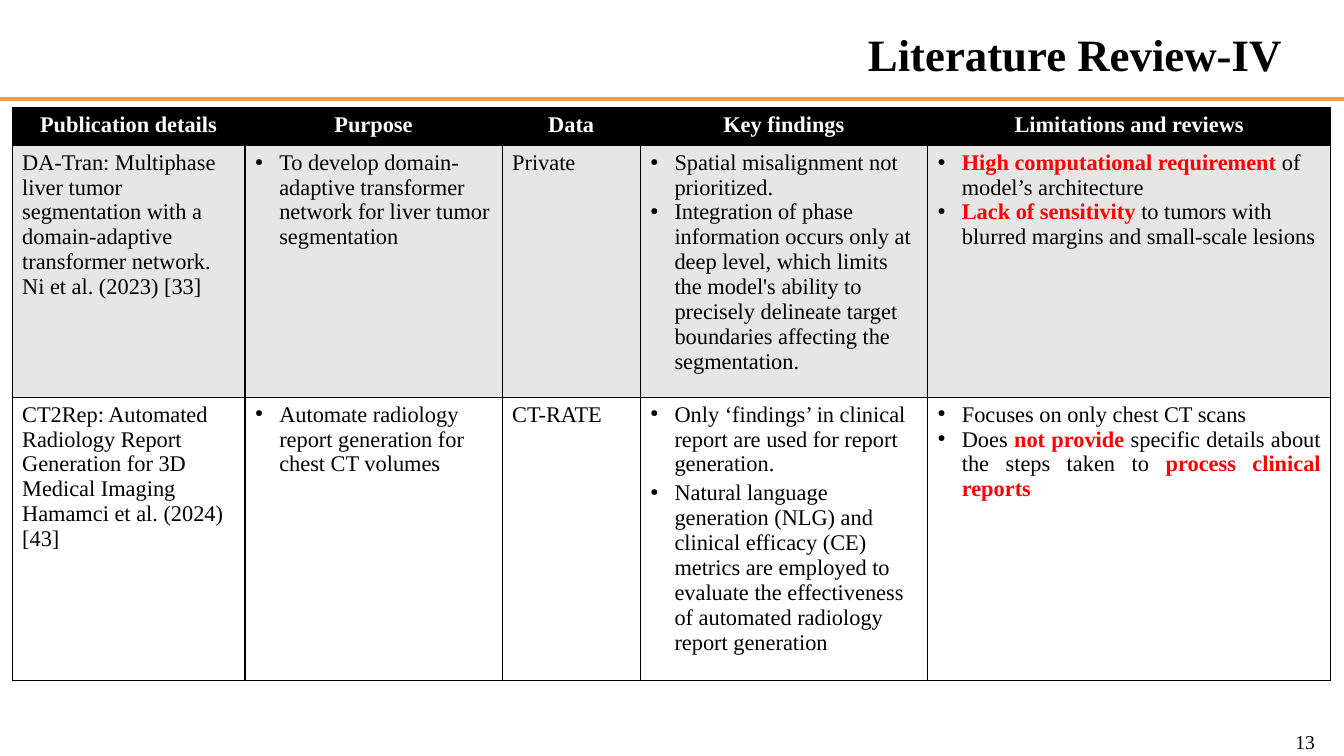
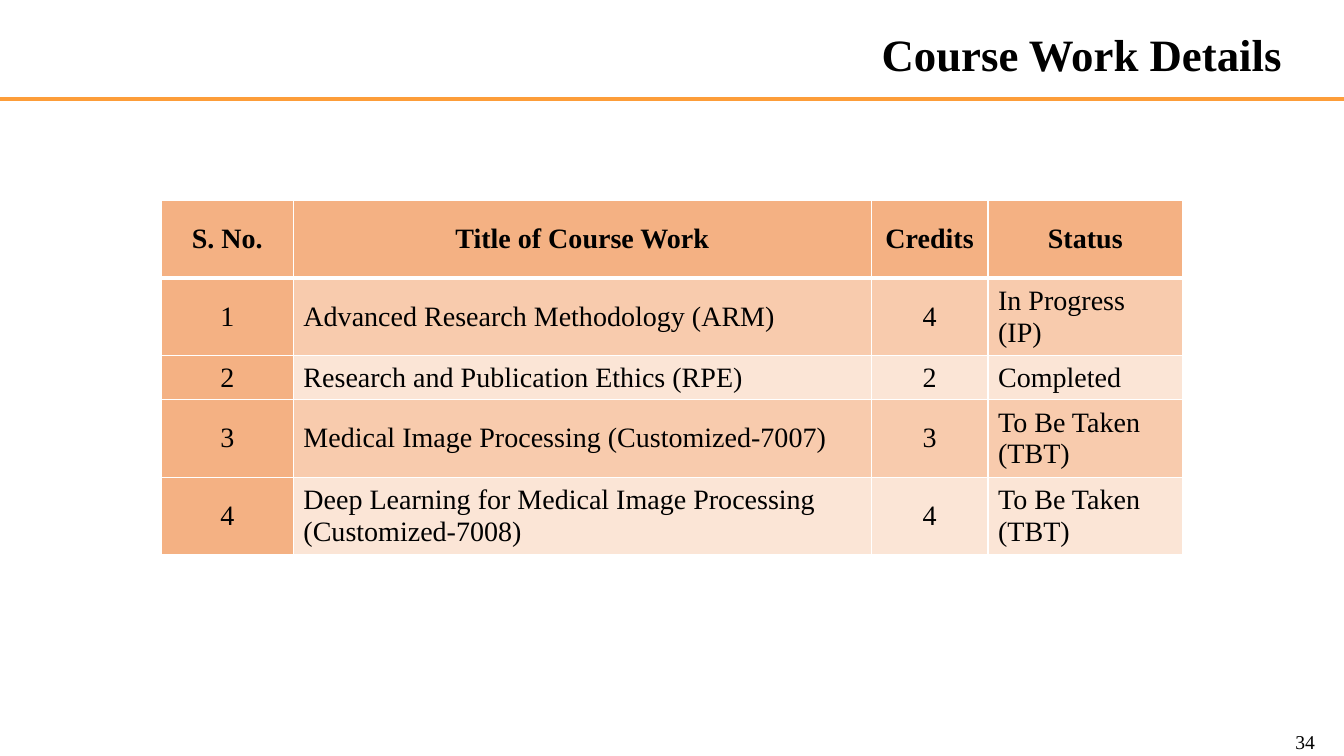
from dataclasses import dataclass
from typing import Optional

from lxml import etree
from pptx import Presentation
from pptx.dml.color import RGBColor
from pptx.enum.shapes import MSO_CONNECTOR
from pptx.enum.text import MSO_ANCHOR, PP_ALIGN
from pptx.oxml.ns import qn
from pptx.slide import Slide
from pptx.table import _Cell
from pptx.text.text import TextFrame, _Paragraph
from pptx.util import Emu, Inches, Pt

LEFT, CENTER, RIGHT, JUSTIFY = PP_ALIGN.LEFT, PP_ALIGN.CENTER, PP_ALIGN.RIGHT, PP_ALIGN.JUSTIFY
TOP, MIDDLE = MSO_ANCHOR.TOP, MSO_ANCHOR.MIDDLE
STRAIGHT = MSO_CONNECTOR.STRAIGHT
TITLE_ONLY = 5

SLIDE_WIDTH, SLIDE_HEIGHT = Inches(13.33), Inches(7.5)


@dataclass(frozen=True)
class Theme:
    font: str = "Times New Roman"
    ink: str = "000000"
    paper: str = "FFFFFF"
    rule: str = "FD9D39"
    alert: str = "FF0000"
    grey: str = "E6E6E6"
    peach_dark: str = "F4B183"
    peach: str = "F8CBAD"
    peach_light: str = "FBE5D6"
    title_size: float = 32
    course_size: float = 20
    review_size: float = 16
    number_size: float = 14
    rule_width: float = 3
    bullet_indent: float = 0.24


THEME = Theme()


@dataclass(frozen=True)
class Frame:
    """A box in percent of the slide's width and height."""
    left: float
    top: float
    width: float
    height: float


TITLE_FRAME = Frame(50, 2.8, 46.14, 8.53)
NUMBER_FRAME = Frame(92.57, 96.53, 6, 3.2)
RULE_TOP = 13.07


@dataclass(frozen=True)
class CellText:
    """Paragraphs of one cell; words between asterisks are highlighted."""
    paragraphs: tuple[str, ...]
    align: PP_ALIGN = LEFT
    bulleted: bool = False
    space_after: float = 0


@dataclass(frozen=True)
class TableStyle:
    size: float
    anchor: MSO_ANCHOR
    border: str
    border_width: float
    header_rule_width: float
    header_fill: str
    header_color: str
    row_fills: tuple[str, str]
    first_column_fill: Optional[str] = None


@dataclass(frozen=True)
class TablePlan:
    """Position, column widths and row heights in percent of the slide."""
    left: float
    top: float
    columns: tuple[float, ...]
    rows: tuple[float, ...]
    style: TableStyle
    header: tuple[str, ...]
    body: tuple[tuple[CellText, ...], ...]


REVIEW_STYLE = TableStyle(
    THEME.review_size, TOP, THEME.ink, 0.85, 0.85,
    THEME.ink, THEME.paper, (THEME.grey, THEME.paper))
COURSE_STYLE = TableStyle(
    THEME.course_size, MIDDLE, THEME.paper, 1, 3,
    THEME.peach_dark, THEME.ink, (THEME.peach, THEME.peach_light), THEME.peach_dark)


def across(percent: float) -> Emu:
    return Emu(round(SLIDE_WIDTH * percent / 100))


def down(percent: float) -> Emu:
    return Emu(round(SLIDE_HEIGHT * percent / 100))


def add_bullet(paragraph: _Paragraph) -> None:
    indent = Inches(THEME.bullet_indent)
    properties = paragraph._p.get_or_add_pPr()
    properties.set("marL", str(indent))
    properties.set("indent", str(-indent))
    color = etree.SubElement(properties, qn("a:buClr"))
    etree.SubElement(color, qn("a:srgbClr")).set("val", THEME.ink)
    etree.SubElement(properties, qn("a:buSzPct")).set("val", "45000")
    etree.SubElement(properties, qn("a:buChar")).set("char", "●")


def write_text(text_frame: TextFrame, *paragraphs: str, size: float,
               color: str = THEME.ink, bold: bool = False, align: PP_ALIGN = LEFT,
               bulleted: bool = False, space_after: float = 0) -> None:
    for index, text in enumerate(paragraphs):
        paragraph = text_frame.paragraphs[0] if index == 0 else text_frame.add_paragraph()
        paragraph.alignment = align
        paragraph.space_after = Pt(space_after)
        if bulleted:
            add_bullet(paragraph)
        for part, words in enumerate(text.split("*")):
            highlighted = part % 2 == 1
            for line, fragment in enumerate(words.split("\n")):
                if line:
                    paragraph.add_line_break()
                if not fragment:
                    continue
                run = paragraph.add_run()
                run.text = fragment
                run.font.name = THEME.font
                run.font.size = Pt(size)
                run.font.bold = bold or highlighted
                run.font.color.rgb = RGBColor.from_string(THEME.alert if highlighted else color)
        # Line breaks keep the height of the text around them
        for line_break in paragraph._p.findall(qn("a:br")):
            etree.SubElement(line_break, qn("a:rPr")).set("sz", str(round(size * 100)))


def paint_cell(cell: _Cell, style: TableStyle, fill: str, bottom_width: float) -> None:
    cell.vertical_anchor = style.anchor
    properties = cell._tc.get_or_add_tcPr()
    for side in ("lnL", "lnR", "lnT", "lnB"):
        width = bottom_width if side == "lnB" else style.border_width
        edge = etree.SubElement(properties, qn(f"a:{side}"), w=str(Pt(width)))
        solid = etree.SubElement(edge, qn("a:solidFill"))
        etree.SubElement(solid, qn("a:srgbClr")).set("val", style.border)
    cell.fill.solid()
    cell.fill.fore_color.rgb = RGBColor.from_string(fill)


def add_plan(slide: Slide, plan: TablePlan) -> None:
    style = plan.style
    table = slide.shapes.add_table(
        len(plan.rows), len(plan.columns), across(plan.left), down(plan.top),
        across(sum(plan.columns)), down(sum(plan.rows))).table
    table.horz_banding = False
    for column, width in zip(table.columns, plan.columns):
        column.width = across(width)
    for row, height in zip(table.rows, plan.rows):
        row.height = down(height)
    # Header row
    for column, heading in enumerate(plan.header):
        cell = table.cell(0, column)
        paint_cell(cell, style, style.header_fill, style.header_rule_width)
        write_text(cell.text_frame, heading, size=style.size,
                   color=style.header_color, bold=True, align=CENTER)
    # Body rows with alternating fills
    for row, entries in enumerate(plan.body, start=1):
        for column, entry in enumerate(entries):
            cell = table.cell(row, column)
            fill = style.row_fills[(row - 1) % 2]
            if column == 0 and style.first_column_fill:
                fill = style.first_column_fill
            paint_cell(cell, style, fill, style.border_width)
            write_text(cell.text_frame, *entry.paragraphs, size=style.size, align=entry.align,
                       bulleted=entry.bulleted, space_after=entry.space_after)


def add_base_slide(presentation: Presentation, heading: str, number: int) -> Slide:
    slide = presentation.slides.add_slide(presentation.slide_layouts[TITLE_ONLY])
    # Orange rule below the title
    rule = slide.shapes.add_connector(STRAIGHT, 0, down(RULE_TOP), SLIDE_WIDTH, down(RULE_TOP))
    rule.line.color.rgb = RGBColor.from_string(THEME.rule)
    rule.line.width = Pt(THEME.rule_width)
    etree.SubElement(rule._element.spPr, qn("a:effectLst"))
    # Title
    title = slide.shapes.title
    title.left, title.top = across(TITLE_FRAME.left), down(TITLE_FRAME.top)
    title.width, title.height = across(TITLE_FRAME.width), down(TITLE_FRAME.height)
    title.text_frame.vertical_anchor = MIDDLE
    write_text(title.text_frame, heading, size=THEME.title_size, bold=True, align=RIGHT)
    # Page number
    page_number = slide.shapes.add_textbox(
        across(NUMBER_FRAME.left), down(NUMBER_FRAME.top),
        across(NUMBER_FRAME.width), down(NUMBER_FRAME.height)).text_frame
    page_number.word_wrap = True
    page_number.margin_top = page_number.margin_bottom = 0
    page_number.vertical_anchor = MIDDLE
    write_text(page_number, str(number), size=THEME.number_size, align=RIGHT)
    return slide


def bullets(*paragraphs: str, align: PP_ALIGN = LEFT, space_after: float = 0) -> CellText:
    return CellText(paragraphs, align, True, space_after)


def course(number: int, name: str, credits: int, *status: str) -> tuple[CellText, ...]:
    return (CellText((str(number),), CENTER), CellText((name,)),
            CellText((str(credits),), CENTER), CellText(status))


REVIEW = TablePlan(
    0.9, 14.27, (17.33, 19.13, 10.28, 21.38, 30.01), (4.93, 33.33, 37.47), REVIEW_STYLE,
    ("Publication details", "Purpose", "Data", "Key findings", "Limitations and reviews"),
    (
        (CellText(("DA-Tran: Multiphase liver tumor segmentation with a domain-adaptive\n"
                   "transformer network. Ni et al. (2023) [33]",)),
         bullets("To develop domain-adaptive transformer network for liver tumor segmentation"),
         CellText(("Private",), JUSTIFY),
         bullets("Spatial misalignment not prioritized.",
                 "Integration of phase information occurs only at deep level, which limits the "
                 "model's ability to precisely delineate target boundaries affecting the "
                 "segmentation."),
         bullets("*High computational requirement *of model’s architecture",
                 "*Lack of sensitivity *to tumors with blurred margins and small-scale lesions")),
        (CellText(("CT2Rep: Automated Radiology Report\nGeneration for 3D Medical Imaging",
                   "Hamamci et al. (2024) [43]")),
         bullets("Automate radiology report generation for chest CT volumes"),
         CellText(("CT-RATE",), JUSTIFY),
         bullets("Only ‘findings’ in clinical report are used for report generation.",
                 "Natural language generation (NLG) and clinical efficacy (CE) metrics are "
                 "employed to evaluate the effectiveness of automated radiology report "
                 "generation", space_after=2.8),
         bullets("Focuses on only chest CT scans",
                 "Does *not provide* specific details about the steps taken to "
                 "*process clinical reports*", align=JUSTIFY)),
    ))

COURSES = TablePlan(
    12, 26.53, (9.83, 42.99, 8.7, 14.48), (10.27, 10.27, 5.73, 10.27, 10.27), COURSE_STYLE,
    ("S. No.", "Title of Course Work", "Credits", "Status"),
    (
        course(1, "Advanced Research Methodology (ARM)", 4, "In Progress (IP)"),
        course(2, "Research and Publication Ethics (RPE)", 2, "Completed"),
        course(3, "Medical Image Processing (Customized-7007)", 3, "To Be Taken", "(TBT)"),
        course(4, "Deep Learning for Medical Image Processing (Customized-7008)", 4,
               "To Be Taken", "(TBT)"),
    ))


def main() -> None:
    presentation = Presentation()
    presentation.slide_width, presentation.slide_height = SLIDE_WIDTH, SLIDE_HEIGHT
    for heading, number, plan in (("Literature Review-IV", 13, REVIEW),
                                  ("Course Work Details", 34, COURSES)):
        add_plan(add_base_slide(presentation, heading, number), plan)
    presentation.save("out.pptx")


if __name__ == "__main__":
    main()
